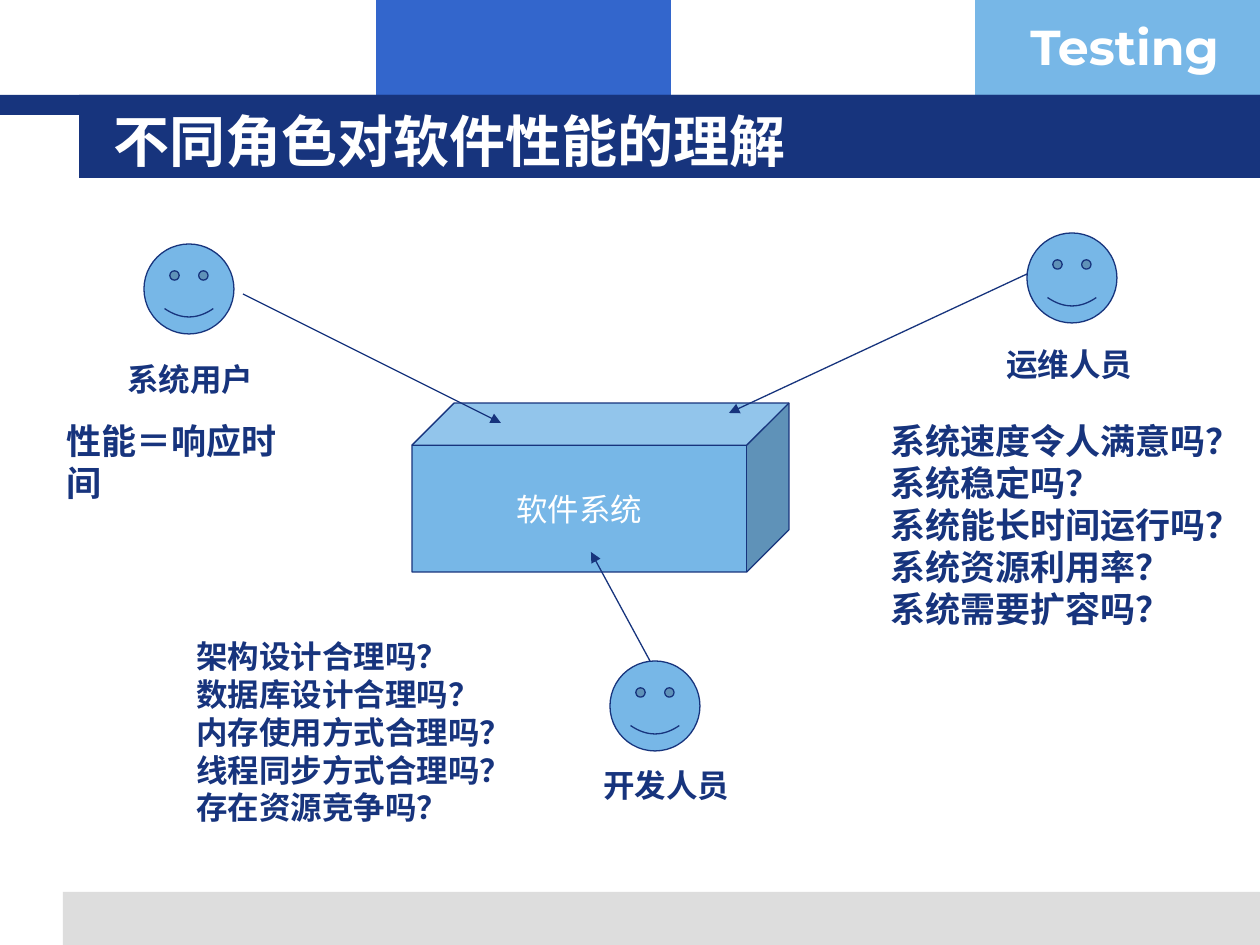
from pptx import Presentation
from pptx.dml.color import RGBColor
from pptx.enum.lang import MSO_LANGUAGE_ID as LANG
from pptx.enum.shapes import MSO_CONNECTOR, MSO_SHAPE as SHAPE
from pptx.enum.text import MSO_ANCHOR as ANCHOR, PP_ALIGN as ALIGN
from pptx.oxml.ns import qn
from pptx.util import Emu, Pt
from lxml.etree import SubElement

PX = 914400 / 126
COLORS = {
    "navy": "17347D",
    "blue": "3366CC",
    "sky": "77B7E7",
    "grey": "DDDDDD",
    "white": "FFFFFF",
}


def px(*values):
    return [Emu(round(v * PX)) for v in values]


def rgb(name):
    return RGBColor.from_string(COLORS[name])


def write(sp, text, size=18, color="navy", font="Arial", bold=True,
          align=ALIGN.LEFT, anchor=ANCHOR.TOP):
    tf = sp.text_frame
    tf.word_wrap = True
    tf.vertical_anchor = anchor
    for i, line in enumerate(text.split("\n")):
        p = tf.add_paragraph() if i else tf.paragraphs[0]
        p.alignment = align
        r = p.add_run()
        r.text = line
        r.font.size = Pt(size)
        r.font.bold = bold
        r.font.name = font
        r.font.color.rgb = rgb(color)
        r.font.language_id = LANG.SIMPLIFIED_CHINESE
        SubElement(r.font._element, qn("a:ea")).set("typeface", font)


def add_text(s, box, text, **fmt):
    write(s.shapes.add_textbox(*px(*box)), text, **fmt)


def add_shape(s, kind, box, fill, line=None):
    sp = s.shapes.add_shape(kind, *px(*box))
    sp.shadow.inherit = False
    sp.fill.solid()
    sp.fill.fore_color.rgb = rgb(fill)
    if line:
        sp.line.color.rgb = rgb(line)
        sp.line.width = Pt(0.75)
    else:
        sp.line.fill.background()
    return sp


def add_arrow(s, start, end):
    c = s.shapes.add_connector(MSO_CONNECTOR.STRAIGHT, *px(*start, *end))
    c.line.color.rgb = rgb("navy")
    c.line.width = Pt(0.75)
    SubElement(c.line._get_or_add_ln(), qn("a:tailEnd")).set("type", "triangle")
    SubElement(c._element.spPr, qn("a:effectLst"))


def add_header(s, box):
    x, y, w, h = box
    bars = [
        (376, 0, 295, 95, "blue"),
        (975, 0, w - 975, 95, "sky"),
        (0, 95, w, 20, "navy"),
        (79, 95, w - 79, h - 95, "navy"),
    ]
    for dx, dy, bw, bh, fill in bars:
        add_shape(s, SHAPE.RECTANGLE, (x + dx, y + dy, bw, bh), fill)
    add_text(s, (x + 1018, y + 10, 242, 72), "Testing",
             size=28, color="white", font="Montserrat")
    add_text(s, (x + 101, y + 101, 1075, 78), "不同角色对软件性能的理解",
             size=32, color="white", font="DejaVu Sans", anchor=ANCHOR.MIDDLE)


def add_footer(s, box):
    add_shape(s, SHAPE.RECTANGLE, box, "grey")


def add_system(s, box):
    sp = add_shape(s, SHAPE.CUBE, box, "sky", "navy")
    write(sp, "软件系统", color="white", bold=False,
          align=ALIGN.CENTER, anchor=ANCHOR.MIDDLE)


def add_role(s, box, name, label_at, views, views_box, size):
    x, y, w, h = box
    add_shape(s, SHAPE.SMILEY_FACE, box, "sky", "navy")
    dx, dy = label_at
    add_text(s, (x + dx, y + dy, 159, 50), name)
    dx, dy, vw, vh = views_box
    add_text(s, (x + dx, y + dy, vw, vh), views, size=size)


def main():
    prs = Presentation()
    prs.slide_width, prs.slide_height = px(1260, 945)
    s = prs.slides.add_slide(prs.slide_layouts[6])
    add_header(s, (0, 0, 1260, 178))
    add_footer(s, (63, 892, 1197, 53))
    add_system(s, (412, 403, 377, 169))
    add_role(s, (144, 244, 90, 90), "系统用户", (-29, 110),
             "性能＝响应时间", (-90, 169, 269, 54), 20)
    add_role(s, (1027, 233, 90, 90), "运维人员", (-33, 106),
             "系统速度令人满意吗？\n系统稳定吗？\n系统能长时间运行吗？\n"
             "系统资源利用率？\n系统需要扩容吗？", (-149, 180, 376, 223), 20)
    add_role(s, (610, 661, 90, 90), "开发人员", (-19, 99),
             "架构设计合理吗？\n数据库设计合理吗？\n内存使用方式合理吗？\n"
             "线程同步方式合理吗？\n存在资源竞争吗？", (-426, -30, 345, 204), 18)
    arrows = [
        ((243, 294), (501, 423)),
        ((1027, 274), (729, 413)),
        ((650, 661), (591, 552)),
    ]
    for start, end in arrows:
        add_arrow(s, start, end)
    prs.save("out.pptx")


if __name__ == "__main__":
    main()
